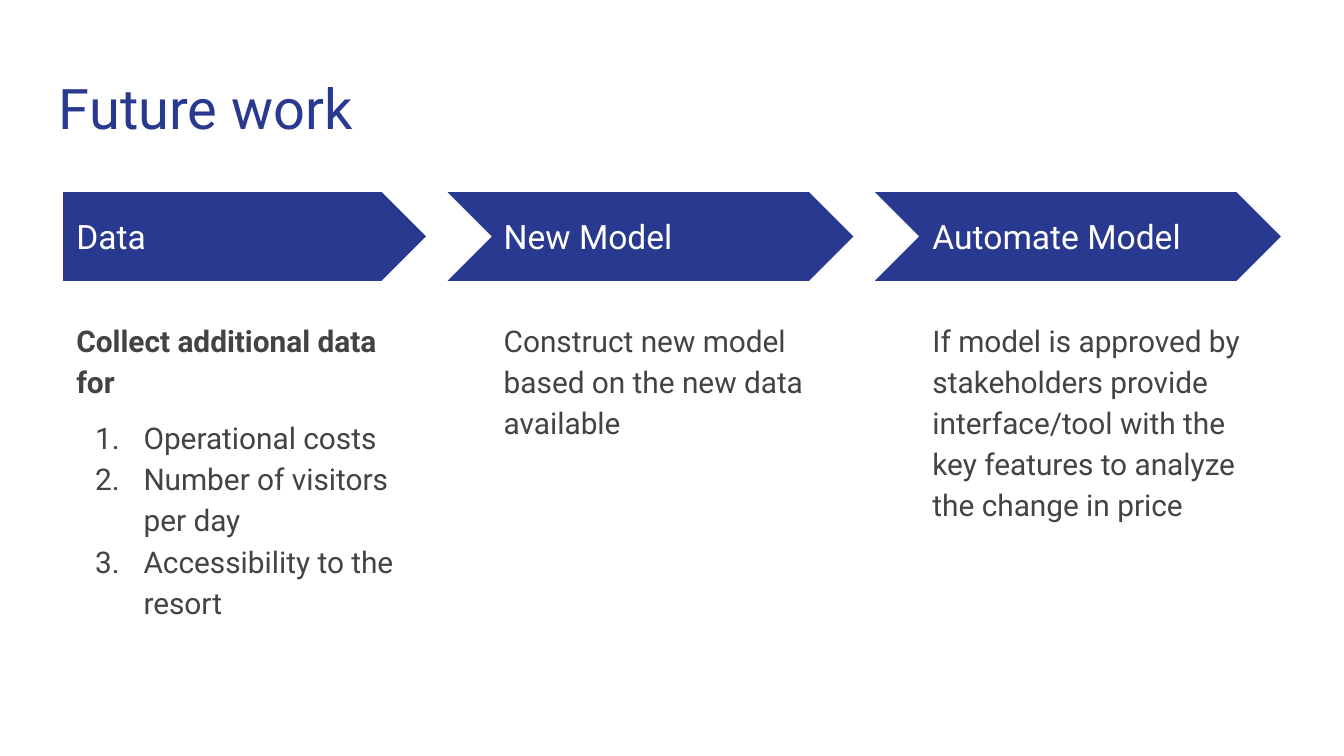
from lxml.etree import SubElement
from pptx import Presentation
from pptx.dml.color import RGBColor
from pptx.enum.shapes import MSO_SHAPE as Shape
from pptx.enum.text import MSO_ANCHOR as Anchor
from pptx.oxml.ns import qn
from pptx.util import Inches, Pt

COLORS = {"navy": "2A3990", "body": "434343", "white": "FFFFFF"}
FONT = "Roboto"
# Each step: arrow shape, arrow left, arrow width, text left, heading, intro, numbered items
STEPS = [
    (Shape.PENTAGON, 0.47, 2.7, 0.47, "Data", "Collect additional data for",
     ["Operational costs", "Number of visitors per day", "Accessibility to the resort"]),
    (Shape.CHEVRON, 3.33, 3.02, 3.65, "New Model",
     "Construct new model based on the new data available", []),
    (Shape.CHEVRON, 6.51, 3.02, 6.84, "Automate Model",
     "If model is approved by stakeholders provide interface/tool "
     "with the key features to analyze the change in price", []),
]


class SlideBuilder:
    def __init__(self, slide):
        self.slide = slide

    def arrow(self, shape_type, left, top, width, height):
        arrow = self.slide.shapes.add_shape(
            shape_type, Inches(left), Inches(top), Inches(width), Inches(height))
        arrow.adjustments[0] = 0.5
        arrow.shadow.inherit = False
        arrow.fill.solid()
        arrow.fill.fore_color.rgb = RGBColor.from_string(COLORS["navy"])
        arrow.line.fill.background()

    def text(self, left, top, width, height, lines, size, color, anchor=Anchor.TOP):
        """Add a text box with one paragraph per line and return its paragraphs."""
        box = self.slide.shapes.add_textbox(
            Inches(left), Inches(top), Inches(width), Inches(height))
        frame = box.text_frame
        frame.word_wrap = True
        frame.vertical_anchor = anchor
        frame.margin_left = frame.margin_right = Inches(0.1)
        frame.margin_top = frame.margin_bottom = Inches(0.1)
        frame.text = "\n".join(lines)
        for para in frame.paragraphs:
            for span in para.runs:
                span.font.name = FONT
                span.font.size = Pt(size)
                span.font.color.rgb = RGBColor.from_string(COLORS[color])
        return frame.paragraphs

    def description(self, left, intro, items):
        """Add the text below an arrow; items become a numbered list under a bold intro."""
        paras = self.text(left, 2.26, 2.7, 2.9, [intro, *items], 16, "body")
        for para in paras:
            para.line_spacing = 1.15
        for para in paras[1:]:
            self.number(para)
        if items:
            paras[0].runs[0].font.bold = True
            paras[1].space_before = Pt(8)
        else:
            paras[0].space_after = Pt(8)

    def number(self, para):
        properties = para._p.get_or_add_pPr()
        properties.set("marL", str(Inches(0.5)))
        properties.set("indent", str(Inches(-0.36)))
        bullet_color = SubElement(properties, qn("a:buClr"))
        SubElement(bullet_color, qn("a:srgbClr"), val=COLORS["body"])
        SubElement(properties, qn("a:buFont"), typeface=FONT)
        SubElement(properties, qn("a:buAutoNum"), type="arabicPeriod")


def main():
    deck = Presentation()
    deck.slide_width = Inches(10)
    deck.slide_height = Inches(10 * 9 / 16)
    page = SlideBuilder(deck.slides.add_slide(deck.slide_layouts[6]))

    page.text(0.34, 0.45, 9.32, 0.66, ["Future work"], 30, "navy")
    for shape_type, arrow_left, arrow_width, text_left, heading, intro, items in STEPS:
        page.arrow(shape_type, arrow_left, 1.43, arrow_width, 0.66)
        page.text(text_left, 1.59, 2.47, 0.34, [heading], 18, "white", Anchor.MIDDLE)
        page.description(text_left, intro, items)

    deck.save("out.pptx")


if __name__ == "__main__":
    main()
